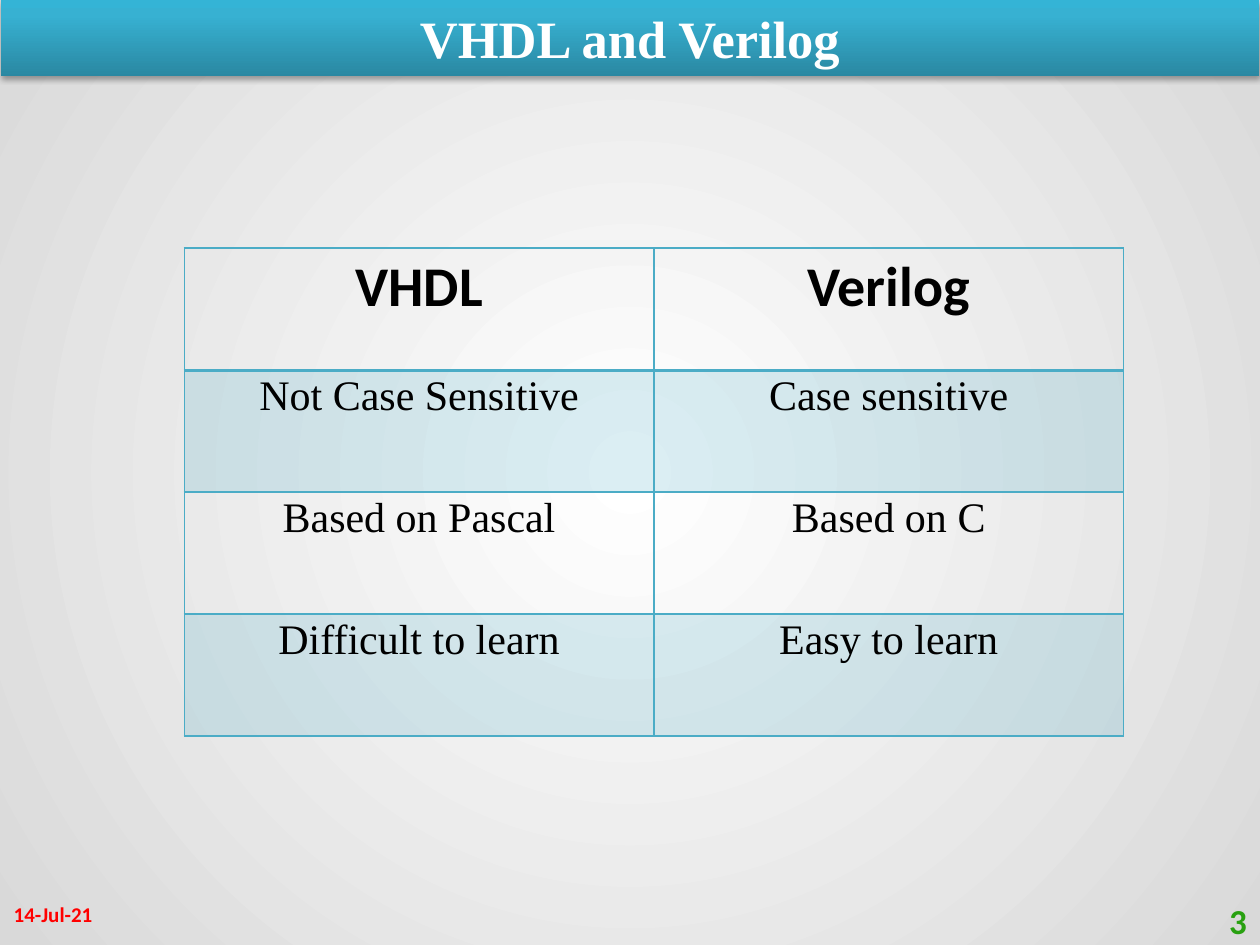
import pptx
import pptx.util
import pptx.oxml
import pptx.oxml.ns
import pptx.dml.color
import pptx.enum.shapes
import pptx.enum.text

Pt = pptx.util.Pt
ALIGN = pptx.enum.text.PP_ALIGN
ANCHOR = pptx.enum.text.MSO_ANCHOR
NS = pptx.oxml.ns.nsdecls("a", "p")

COLORS = {
    "white": "FFFFFF", "black": "000000", "grey": "D9D9D9",
    "teal": "4BACC6", "red": "FF0000", "green": "28A010",
    "bar_dark": "2A88A2", "bar_mid": "37B1D2", "bar_light": "34B4D6",
}
SERIF, SANS = "Times New Roman", "Calibri"

TITLE = "VHDL and Verilog"
DATE, NUMBER = "14-Jul-21", "3"
ROWS = [
    ("VHDL", "Verilog"),
    ("Not Case Sensitive", "Case sensitive"),
    ("Based on Pascal", "Based on C"),
    ("Difficult to learn", "Easy to learn"),
]
TABLE_LEFT, TABLE_TOP = 105.3, 141.8
COLUMN_WIDTH, ROW_HEIGHT = 268.4, 69.7


def gradient_xml(stops, direction):
    marks = "".join(
        f'<a:gs pos="{place * 1000}"><a:srgbClr val="{COLORS[name]}"/></a:gs>'
        for place, name in stops)
    return f'<a:gradFill {NS} rotWithShape="1"><a:gsLst>{marks}</a:gsLst>{direction}</a:gradFill>'


def write(frame, text, size, font, color, bold, align):
    para = frame.paragraphs[0]
    para.alignment = align
    span = para.add_run()
    span.text = text
    span.font.size = Pt(size)
    span.font.name = font
    span.font.bold = bold
    span.font.color.rgb = pptx.dml.color.RGBColor.from_string(COLORS[color])
    return para


def paint_background(page):
    fill = gradient_xml(
        [(0, "white"), (100, "grey")],
        '<a:path path="circle"><a:fillToRect l="50000" t="50000" r="50000" b="50000"/></a:path>')
    page.element.cSld.insert(0, pptx.oxml.parse_xml(
        f"<p:bg {NS}><p:bgPr>{fill}<a:effectLst/></p:bgPr></p:bg>"))


def add_title_bar(page):
    bar = page.shapes.add_shape(
        pptx.enum.shapes.MSO_SHAPE.RECTANGLE, Pt(0.7), Pt(0), Pt(718.6), Pt(43.6))
    bar.fill.background()
    bar.line.fill.background()
    bar.shadow.inherit = False
    properties = bar.element.spPr
    properties.replace(
        properties.find(pptx.oxml.ns.qn("a:noFill")),
        pptx.oxml.parse_xml(gradient_xml(
            [(0, "bar_dark"), (80, "bar_mid"), (100, "bar_light")],
            '<a:lin ang="16200000" scaled="0"/>')))
    properties.find(pptx.oxml.ns.qn("a:effectLst")).append(pptx.oxml.parse_xml(
        f'<a:outerShdw {NS} blurRad="{Pt(3.1)}" dist="{Pt(1.8)}" dir="5400000" rotWithShape="0">'
        f'<a:srgbClr val="{COLORS["black"]}"><a:alpha val="35000"/></a:srgbClr></a:outerShdw>'))
    bar.text_frame.word_wrap = True
    bar.text_frame.vertical_anchor = ANCHOR.TOP
    write(bar.text_frame, TITLE, 30, SERIF, "white", True, ALIGN.CENTER)


def add_footer(page, text, left, top, size, color, align):
    box = page.shapes.add_textbox(Pt(left), Pt(top), Pt(168), Pt(28.8))
    box.text_frame.word_wrap = True
    box.text_frame.vertical_anchor = ANCHOR.MIDDLE
    write(box.text_frame, text, size, SANS, color, True, align)


def style_cell(cell, header, shaded):
    """Set the margins, the tint and the four borders."""
    cell.margin_left = cell.margin_right = Pt(5)
    cell.margin_top = cell.margin_bottom = Pt(0)
    if shaded:
        cell.fill.solid()
        cell.fill.fore_color.rgb = pptx.dml.color.RGBColor.from_string(COLORS["teal"])
    else:
        cell.fill.background()
    properties = cell._tc.get_or_add_tcPr()
    for color in properties.iter(pptx.oxml.ns.qn("a:srgbClr")):
        color.append(pptx.oxml.parse_xml(f'<a:alpha {NS} val="20000"/>'))
    for index, side in enumerate("LRTB"):
        width = Pt(2) if header and side == "B" else Pt(1)
        properties.insert(index, pptx.oxml.parse_xml(
            f'<a:ln{side} {NS} w="{width}"><a:solidFill>'
            f'<a:srgbClr val="{COLORS["teal"]}"/></a:solidFill></a:ln{side}>'))


def add_comparison(page):
    count = len(ROWS[0])
    table = page.shapes.add_table(
        len(ROWS), count, Pt(TABLE_LEFT), Pt(TABLE_TOP),
        Pt(COLUMN_WIDTH * count), Pt(ROW_HEIGHT * len(ROWS))).table
    table.horz_banding = False
    table.first_row = False
    for column in table.columns:
        column.width = Pt(COLUMN_WIDTH)
    for r, texts in enumerate(ROWS):
        table.rows[r].height = Pt(ROW_HEIGHT)
        header = r == 0
        size, font = (32, SANS) if header else (24, SERIF)
        for c, text in enumerate(texts):
            cell = table.cell(r, c)
            style_cell(cell, header, shaded=r % 2 == 1)
            para = write(cell.text_frame, text, size, font, "black", header, ALIGN.CENTER)
            para.line_spacing = 1.07
            para.space_after = Pt(8)


def main():
    deck = pptx.Presentation()
    deck.slide_width, deck.slide_height = Pt(720), Pt(540)
    page = deck.slides.add_slide(deck.slide_layouts[6])
    paint_background(page)
    add_title_bar(page)
    add_footer(page, DATE, 0.7, 507.8, 12, "red", ALIGN.LEFT)
    add_footer(page, NUMBER, 551.5, 511.5, 20, "green", ALIGN.RIGHT)
    add_comparison(page)
    deck.save("out.pptx")


if __name__ == "__main__":
    main()
